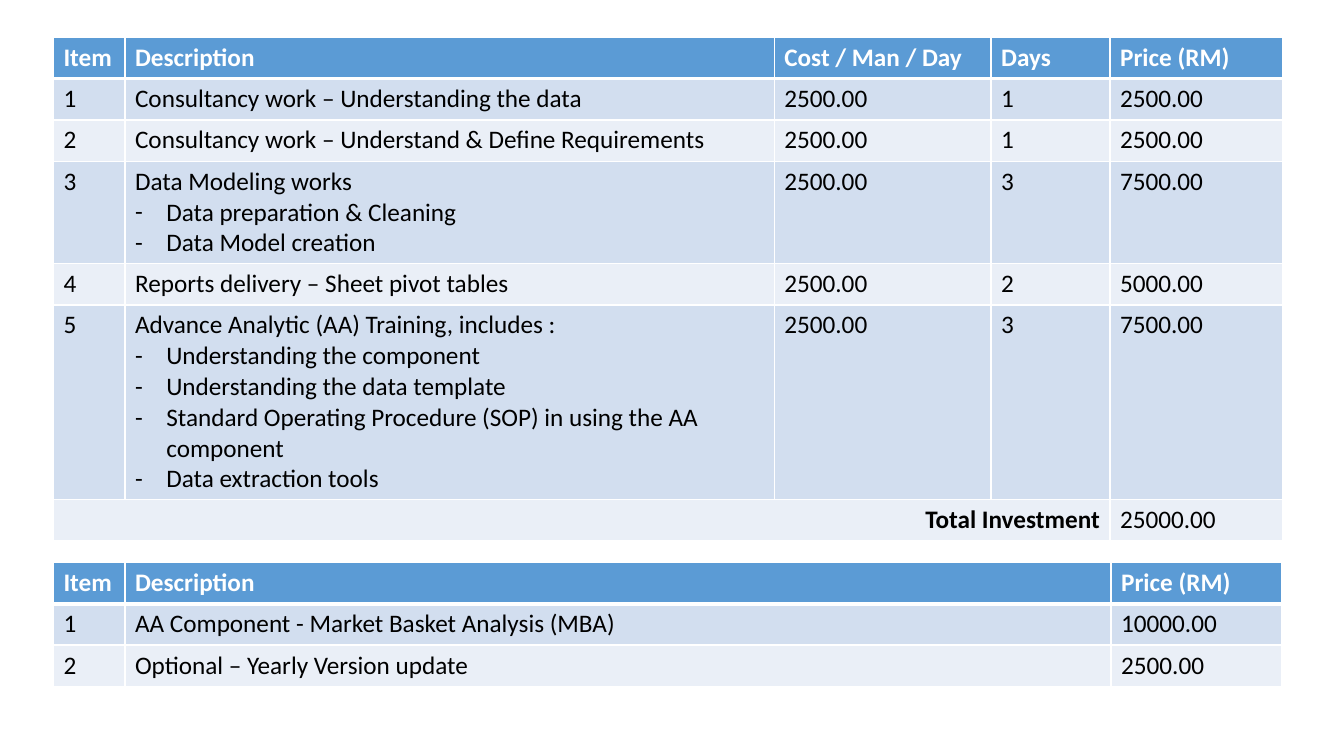
"""Build a slide with a consultancy price table and a component price table."""
from lxml.etree import SubElement
from pptx import Presentation
from pptx.dml.color import RGBColor
from pptx.enum.text import PP_ALIGN
from pptx.oxml.ns import qn
from pptx.util import Inches, Pt

THEME = {
    "font": "Calibri", "size": 18, "header": "5B9BD5",
    "bands": ("D2DEEF", "EAEFF7"), "light": "FFFFFF", "dark": "000000",
    "rule": 1, "header_rule": 3,
}
LEFT, ROW, LINE, INDENT = 0.53, 0.41, 0.3, 0.31
TOTAL = "Total Investment"

SERVICES = [
    ("Item", "Description", "Cost / Man / Day", "Days", "Price (RM)"),
    ("1", "Consultancy work – Understanding the data", "2500.00", "1", "2500.00"),
    ("2", "Consultancy work – Understand & Define Requirements", "2500.00", "1", "2500.00"),
    ("3", ("Data Modeling works", "Data preparation & Cleaning", "Data Model creation"),
     "2500.00", "3", "7500.00"),
    ("4", "Reports delivery – Sheet pivot tables", "2500.00", "2", "5000.00"),
    ("5", ("Advance Analytic (AA) Training, includes :",
           "Understanding the component", "Understanding the data template",
           "Standard Operating Procedure (SOP) in using the AA component",
           "Data extraction tools"), "2500.00", "3", "7500.00"),
    (TOTAL, "", "", "", "25000.00"),
]
COMPONENTS = [
    ("Item", "Description", "Price (RM)"),
    ("1", "AA Component - Market Basket Analysis (MBA)", "10000.00"),
    ("2", "Optional – Yearly Version update", "2500.00"),
]
TABLES = [
    (0.37, (0.71, 6.44, 2.15, 1.18, 1.71), SERVICES),
    (5.58, (0.71, 9.78, 1.69), COMPONENTS),
]


def rgb(name):
    return RGBColor.from_string(name)


def add_borders(cell, row):
    """Draw the cell's edges, heavier beneath the header."""
    tcPr = cell._tc.get_or_add_tcPr()
    heavy = {0: "lnB", 1: "lnT"}.get(row)
    for side in ("lnL", "lnR", "lnT", "lnB"):
        width = THEME["header_rule" if side == heavy else "rule"]
        ln = SubElement(tcPr, qn(f"a:{side}"), w=str(Pt(width)))
        fill = SubElement(ln, qn("a:solidFill"))
        SubElement(fill, qn("a:srgbClr"), val=THEME["light"])


def add_dash(p):
    """Give the paragraph a hanging dash bullet."""
    pPr = p._p.get_or_add_pPr()
    pPr.set("marL", str(Inches(INDENT)))
    pPr.set("indent", str(-Inches(INDENT)))
    SubElement(pPr, qn("a:buFont"), typeface=THEME["font"])
    SubElement(pPr, qn("a:buChar"), char="-")


def fill_cell(cell, content, row):
    """Write and format one cell."""
    lines = (content,) if isinstance(content, str) else content
    header = row == 0
    add_borders(cell, row)
    cell.fill.solid()
    cell.fill.fore_color.rgb = rgb(THEME["header"] if header else THEME["bands"][(row - 1) % 2])
    tf = cell.text_frame
    tf.text = "\n".join(lines)
    for i, p in enumerate(tf.paragraphs):
        if i:
            add_dash(p)
        if content == TOTAL:
            p.alignment = PP_ALIGN.RIGHT
        for r in p.runs:
            r.font.name, r.font.size = THEME["font"], Pt(THEME["size"])
            r.font.bold = header or content == TOTAL
            r.font.color.rgb = rgb(THEME["light"] if header else THEME["dark"])


def add_price_table(s, top, widths, rows):
    """Place one table whose rows grow with their lines."""
    frame = s.shapes.add_table(len(rows), len(widths), Inches(LEFT), Inches(top),
                               Inches(sum(widths)), Inches(ROW * len(rows)))
    table = frame.table
    for column, width in zip(table.columns, widths):
        column.width = Inches(width)
    for i, values in enumerate(rows):
        extra = 0 if isinstance(values[1], str) else len(values[1]) - 1
        table.rows[i].height = Inches(ROW + LINE * extra)
        for j, value in enumerate(values):
            fill_cell(table.cell(i, j), value, i)
        if values[0] == TOTAL:
            table.cell(i, 0).merge(table.cell(i, len(widths) - 2))


prs = Presentation()
prs.slide_width, prs.slide_height = Inches(13.33), Inches(7.5)
s = prs.slides.add_slide(prs.slide_layouts[6])
for top, widths, rows in TABLES:
    add_price_table(s, top, widths, rows)
prs.save("out.pptx")
